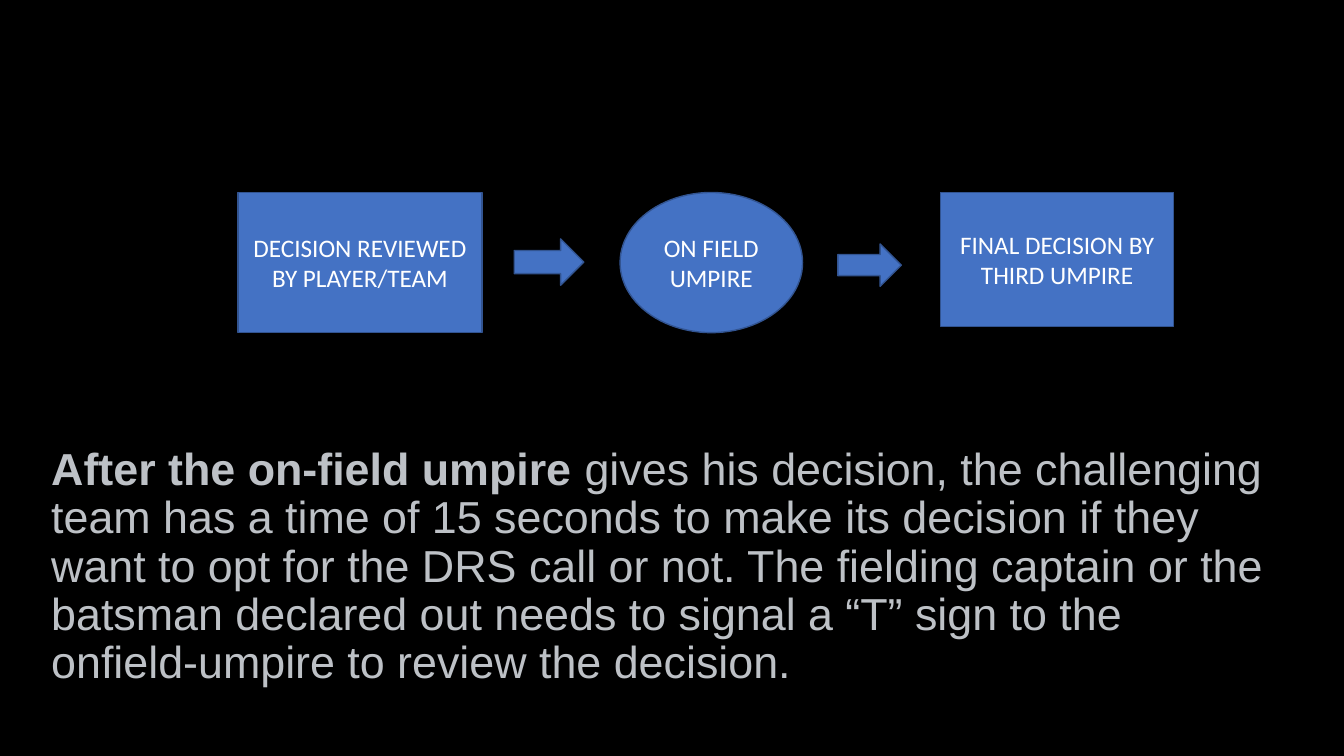
import pptx
import pptx.dml.color
import pptx.enum.shapes
import pptx.enum.text
import pptx.util

Inches = pptx.util.Inches
Pt = pptx.util.Pt
RGBColor = pptx.dml.color.RGBColor
Shape = pptx.enum.shapes.MSO_SHAPE

BLACK = RGBColor(0x00, 0x00, 0x00)
WHITE = RGBColor(0xFF, 0xFF, 0xFF)
BLUE = RGBColor(0x44, 0x72, 0xC4)
DARK_BLUE = RGBColor(0x32, 0x54, 0x91)
GREY = RGBColor(0xBD, 0xC1, 0xC6)

STEPS = [
    (Shape.RECTANGLE, 2.36, 2.42, 1.39, "DECISION REVIEWED BY PLAYER/TEAM"),
    (Shape.OVAL, 6.15, 1.81, 1.39, "ON FIELD UMPIRE"),
    (Shape.RECTANGLE, 9.33, 2.31, 1.33, "FINAL DECISION BY THIRD UMPIRE"),
]
ARROWS = [(5.1, 2.37, 0.69, 0.46), (8.31, 2.42, 0.63, 0.42)]
EXPLANATION = [
    ("After the on-field umpire", True),
    (" gives his decision, the challenging team has a time of 15 seconds "
     "to make its decision if they want to opt for the DRS call or not. "
     "The fielding captain or the batsman declared out needs to signal "
     "a “T” sign to the onfield-umpire to review the decision.", False),
]


class ReviewSlide:
    """Draws the parts of the review process in one style on one slide."""

    def __init__(self, page):
        self.page = page
        page.background.fill.solid()
        page.background.fill.fore_color.rgb = BLACK

    def add_span(self, para, text, font, size, color, bold=False):
        span = para.add_run()
        span.text = text
        span.font.name = font
        span.font.size = Pt(size)
        span.font.bold = bold
        span.font.color.rgb = color

    def add_shape(self, kind, left, top, width, height):
        shape = self.page.shapes.add_shape(
            kind, Inches(left), Inches(top), Inches(width), Inches(height))
        shape.shadow.inherit = False
        shape.fill.solid()
        shape.fill.fore_color.rgb = BLUE
        shape.line.color.rgb = DARK_BLUE
        shape.line.width = Pt(1)
        return shape

    def add_step(self, kind, left, top, width, height, label):
        frame = self.add_shape(kind, left, top, width, height).text_frame
        frame.word_wrap = True
        frame.vertical_anchor = pptx.enum.text.MSO_ANCHOR.MIDDLE
        para = frame.paragraphs[0]
        para.alignment = pptx.enum.text.PP_ALIGN.CENTER
        self.add_span(para, label, "Calibri", 18, WHITE)

    def add_text(self, left, top, width, height, spans):
        box = self.page.shapes.add_textbox(
            Inches(left), Inches(top), Inches(width), Inches(height))
        box.text_frame.word_wrap = True
        para = box.text_frame.paragraphs[0]
        para.line_spacing = 0.9
        para.space_before = Pt(10)
        for text, bold in spans:
            self.add_span(para, text, "Arial", 32, GREY, bold)


def main():
    deck = pptx.Presentation()
    deck.slide_width = Inches(13.33)
    deck.slide_height = Inches(7.5)
    slide = ReviewSlide(deck.slides.add_slide(deck.slide_layouts[6]))
    slide.add_text(0.41, 4.38, 12.4, 1.39, EXPLANATION)
    for kind, left, width, height, label in STEPS:
        slide.add_step(kind, left, 1.91, width, height, label)
    for left, top, width, height in ARROWS:
        slide.add_shape(Shape.RIGHT_ARROW, left, top, width, height)
    deck.save("out.pptx")


if __name__ == "__main__":
    main()
